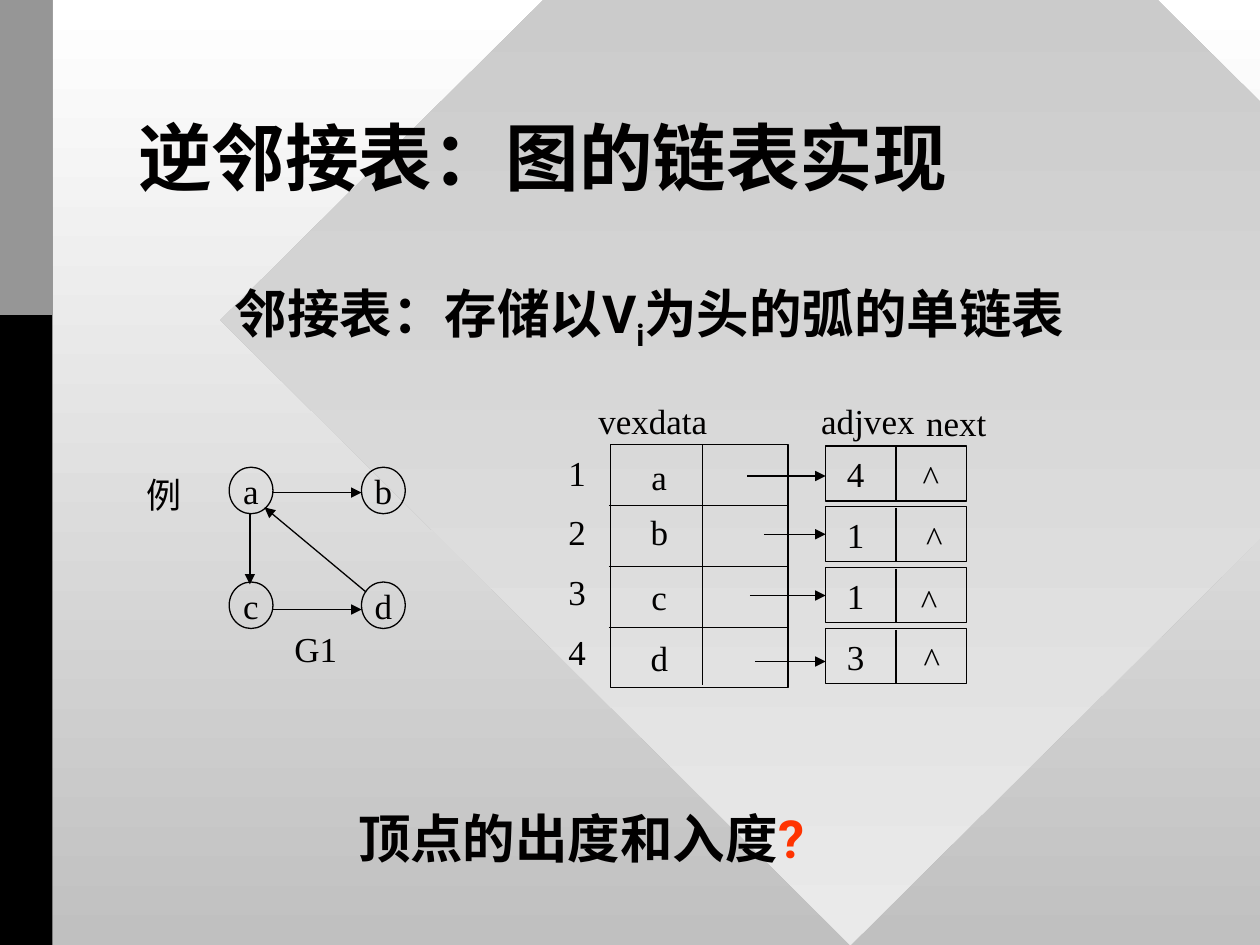
from lxml.etree import SubElement
from pptx import Presentation
from pptx.dml.color import RGBColor
from pptx.enum.shapes import MSO_CONNECTOR, MSO_SHAPE
from pptx.enum.text import MSO_ANCHOR, PP_ALIGN
from pptx.oxml.ns import qn
from pptx.util import Pt

COLORS = {
    "ink": "010000",
    "white": "FFFFFF",
    "silver": "C0C0C0",
    "pale": "EAEAEA",
    "black": "000000",
    "gray": "969696",
    "question": "FF3300",
}


def write(shape, runs, size=20, font="Times New Roman", bold=False,
          align=PP_ALIGN.CENTER, anchor=MSO_ANCHOR.MIDDLE, wrap=False):
    frame = shape.text_frame
    frame.word_wrap = wrap
    frame.vertical_anchor = anchor
    paragraph = frame.paragraphs[0]
    paragraph.alignment = align
    for text in runs:
        run = paragraph.add_run()
        run.text = text
        run.font.size = Pt(size)
        run.font.name = font
        run.font.bold = bold
        run.font.color.rgb = RGBColor.from_string(COLORS["ink"])
    return paragraph


def draw_line(x1, y1, x2, y2, arrow=False):
    line = slide.shapes.add_connector(MSO_CONNECTOR.STRAIGHT, Pt(x1), Pt(y1), Pt(x2), Pt(y2))
    line.line.color.rgb = RGBColor.from_string(COLORS["ink"])
    line.line.width = Pt(0.75)
    if arrow:
        SubElement(line.line._get_or_add_ln(), qn("a:tailEnd"), type="triangle")
    SubElement(line._element.spPr, qn("a:effectLst"))


presentation = Presentation()
presentation.slide_width = Pt(720)
presentation.slide_height = Pt(540)
slide = presentation.slides.add_slide(presentation.slide_layouts[6])

diamond = slide.shapes.add_shape(MSO_SHAPE.DIAMOND, Pt(126), Pt(-174), Pt(720), Pt(714))
diamond.shadow.inherit = False
diamond.line.fill.background()
for fill, names in ((slide.background.fill, ("white", "silver")),
                    (diamond.fill, ("silver", "pale"))):
    fill.gradient()
    fill.gradient_angle = 270
    for stop, name, position in zip(fill.gradient_stops, names, (0, 1)):
        stop.color.rgb = RGBColor.from_string(COLORS[name])
        stop.position = position

for height, name in ((540, "black"), (180, "gray")):
    band = slide.shapes.add_shape(MSO_SHAPE.RECTANGLE, Pt(0), Pt(0), Pt(30), Pt(height))
    band.shadow.inherit = False
    band.fill.solid()
    band.fill.fore_color.rgb = RGBColor.from_string(COLORS[name])
    band.line.fill.background()

title = slide.shapes.add_textbox(Pt(72), Pt(48), Pt(576), Pt(90))
paragraph = write(title, ["逆邻接表：图的链表实现"], 42, "Roboto", True, PP_ALIGN.LEFT, wrap=True)
paragraph.line_spacing = 0.85

subtitle = slide.shapes.add_textbox(Pt(127), Pt(157), Pt(503.5), Pt(48))
paragraph = write(subtitle, ["邻接表：存储以V", "i", "为头的弧的单链表"], 30, "Roboto", True,
                  PP_ALIGN.LEFT, MSO_ANCHOR.TOP)
paragraph.space_before = Pt(7.5)
paragraph.runs[1].font._element.set("baseline", "-25000")

question = slide.shapes.add_textbox(Pt(197.5), Pt(457), Pt(262), Pt(43))
paragraph = write(question, ["顶点的出度和入度", "?"], 30, "Roboto", True,
                  PP_ALIGN.LEFT, MSO_ANCHOR.TOP, True)
paragraph.space_before = Pt(7.5)
paragraph.runs[1].font.color.rgb = RGBColor.from_string(COLORS["question"])

labels = [
    ("例", 76, 267, 36),
    ("G1", 160, 355, 41),
    ("vexdata", 331, 224.6, 84),
    ("adjvex", 460, 224.6, 72),
    ("next", 520, 225.6, 53),
]
list_top, row_height = 254, 34.8
rows = [
    ("a", 256.3, "4", 427, 272, 520, 256.3),
    ("b", 288, "1", 436.5, 305.3, 522, 291.6),
    ("c", 325.2, "1", 428.5, 340.3, 519, 327.6),
    ("d", 360, "3", 431.3, 378, 520.6, 360.7),
]

for name, x, y in (("a", 131, 267), ("b", 206.6, 267), ("c", 131, 332.6), ("d", 206.6, 332.6)):
    vertex = slide.shapes.add_shape(MSO_SHAPE.OVAL, Pt(x), Pt(y), Pt(25), Pt(26.6))
    vertex.shadow.inherit = False
    vertex.fill.background()
    vertex.line.color.rgb = RGBColor.from_string(COLORS["ink"])
    vertex.line.width = Pt(0.75)
    write(vertex, [name])

for arc in ((155.7, 281.5, 206.6, 281.5), (155.7, 348.3, 206.6, 348.3),
            (142.8, 294, 142.8, 334), (209.3, 338.4, 151.2, 290)):
    draw_line(*arc, arrow=True)

head_list = slide.shapes.add_shape(MSO_SHAPE.RECTANGLE, Pt(348.8), Pt(list_top), Pt(101.6), Pt(139))
head_list.shadow.inherit = False
head_list.fill.background()
head_list.line.color.rgb = RGBColor.from_string(COLORS["ink"])
head_list.line.width = Pt(0.75)
draw_line(401.5, list_top, 401.5, 391.5)

for index, (vertex_name, name_top, adjacent, arrow_x, arrow_y, end_x, end_y) in enumerate(rows):
    top = list_top + index * row_height
    if index:
        draw_line(348, top, 450, top)

    node = slide.shapes.add_shape(MSO_SHAPE.RECTANGLE, Pt(471.8), Pt(top + 0.8), Pt(80.5), Pt(31.5))
    node.shadow.inherit = False
    node.fill.background()
    node.line.color.rgb = RGBColor.from_string(COLORS["ink"])
    node.line.width = Pt(0.75)
    write(node, [adjacent], align=PP_ALIGN.LEFT, wrap=True)
    node.text_frame.margin_left = Pt(12.2)
    draw_line(512, top + 1.5, 512, top + 32)
    draw_line(arrow_x, arrow_y, 471.8, arrow_y, arrow=True)

    labels += [
        (str(index + 1), 317.5, list_top + index * 34.1, 24.5),
        (vertex_name, 364.5, name_top, 24.5),
        ("^", end_x, end_y, 23.8),
    ]

for text, x, y, width in labels:
    label = slide.shapes.add_textbox(Pt(x), Pt(y), Pt(width), Pt(31.5))
    write(label, [text])

presentation.save("out.pptx")
